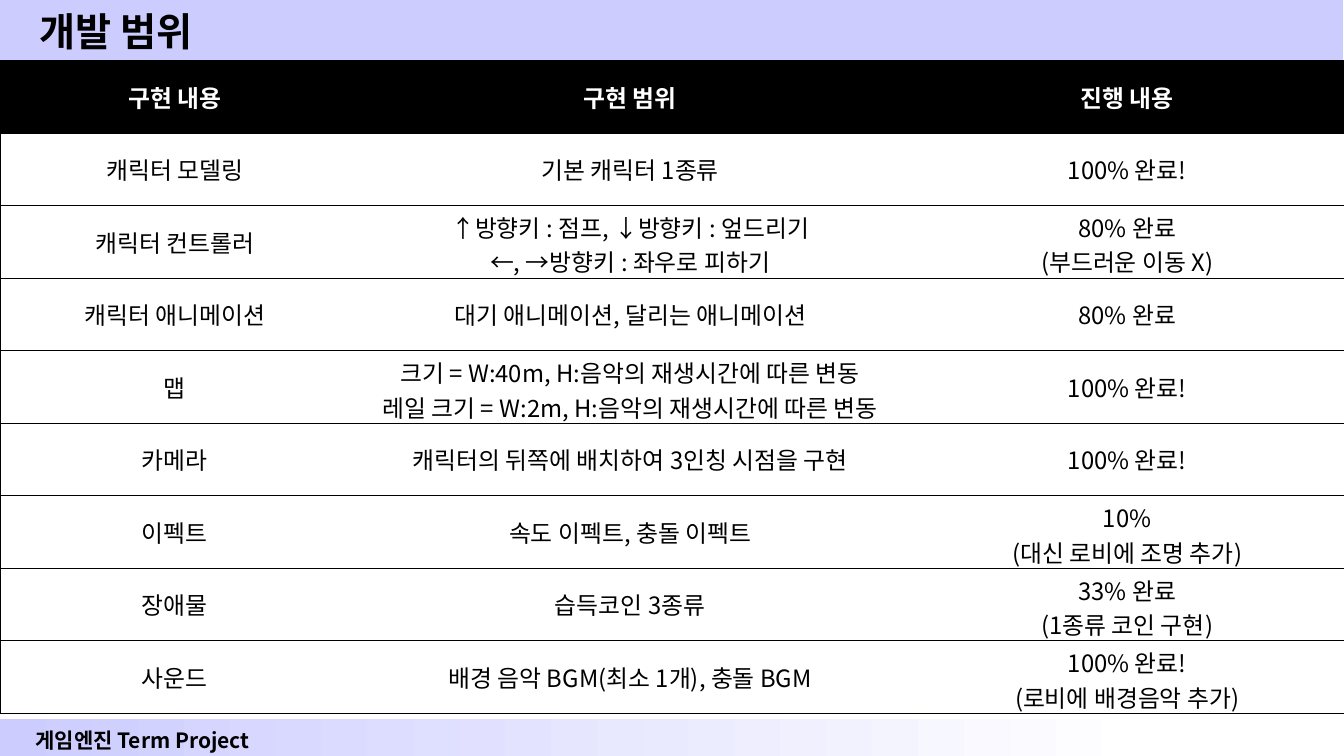
from lxml import etree
from pptx import Presentation
from pptx import util as u
from pptx.dml.color import RGBColor
from pptx.enum import shapes, text
from pptx.oxml import ns

PX = 9144  # 100 px to the inch
FONT = "Noto Sans CJK KR"
COLORS = {"lavender": "CCCCFF", "white": "FFFFFF", "black": "000000"}

COLUMN_WIDTHS = [347, 556, 430]
ROW_HEIGHT = 72
SCOPE_ROWS = [
    ("구현 내용", "구현 범위", "진행 내용"),
    ("캐릭터 모델링", "기본 캐릭터 1종류", "100% 완료!"),
    ("캐릭터 컨트롤러",
     "↑방향키 : 점프, ↓방향키 : 엎드리기\n←, →방향키 : 좌우로 피하기",
     "80% 완료\n(부드러운 이동 X)"),
    ("캐릭터 애니메이션", "대기 애니메이션, 달리는 애니메이션", "80% 완료"),
    ("맵",
     "크기 = W:40m, H:음악의 재생시간에 따른 변동\n"
     "레일 크기 = W:2m, H:음악의 재생시간에 따른 변동",
     "100% 완료!"),
    ("카메라", "캐릭터의 뒤쪽에 배치하여 3인칭 시점을 구현", "100% 완료!"),
    ("이펙트", "속도 이펙트, 충돌 이펙트", "10%\n(대신 로비에 조명 추가)"),
    ("장애물", "습득코인 3종류", "33% 완료\n(1종류 코인 구현)"),
    ("사운드", "배경 음악 BGM(최소 1개), 충돌 BGM",
     "100% 완료!\n(로비에 배경음악 추가)"),
]


def rgb(name):
    return RGBColor.from_string(COLORS[name])


class SlideBuilder:
    def __init__(self, slide, font):
        self.slide = slide
        self.font = font

    def set_text(self, frame, content, size, color="black", bold=False,
                 align=text.PP_ALIGN.CENTER):
        """Fill a text frame, one paragraph to each line of content."""
        frame.text = content
        for paragraph in frame.paragraphs:
            paragraph.alignment = align
            for run in paragraph.runs:
                values = {"name": self.font, "size": u.Pt(size), "bold": bold}
                for attribute, value in values.items():
                    setattr(run.font, attribute, value)
                run.font.color.rgb = rgb(color)
                east_asian = etree.SubElement(run.font._element, ns.qn("a:ea"))
                east_asian.set("typeface", self.font)

    def band(self, box, *colors):
        """Draw a borderless bar; two colours make a left-to-right gradient."""
        shape = self.slide.shapes.add_shape(
            shapes.MSO_SHAPE.RECTANGLE, *(n * PX for n in box))
        shape.shadow.inherit = False
        shape.line.fill.background()
        if len(colors) == 1:
            shape.fill.solid()
            shape.fill.fore_color.rgb = rgb(colors[0])
            return
        shape.fill.gradient()
        shape.fill.gradient_angle = 0
        for position, (stop, color) in enumerate(
                zip(shape.fill.gradient_stops, colors)):
            stop.position = position
            stop.color.rgb = rgb(color)

    def label(self, box, content, size, anchor, align):
        shape = self.slide.shapes.add_textbox(*(n * PX for n in box))
        frame = shape.text_frame
        values = {"word_wrap": True, "vertical_anchor": anchor,
                  "margin_left": 13 * PX, "margin_right": 13 * PX,
                  "margin_top": 6 * PX, "margin_bottom": 6 * PX}
        for attribute, value in values.items():
            setattr(frame, attribute, value)
        self.set_text(frame, content, size, bold=True, align=align)

    def table(self, left, top, widths, row_height, rows, size):
        table = self.slide.shapes.add_table(
            len(rows), len(widths), left * PX, top * PX,
            sum(widths) * PX, row_height * len(rows) * PX).table
        table.horz_banding = False
        for column, width in zip(table.columns, widths):
            column.width = width * PX
        for row_index, row in enumerate(rows):
            table.rows[row_index].height = row_height * PX
            header = row_index == 0
            for column_index, content in enumerate(row):
                cell = table.cell(row_index, column_index)
                cell.vertical_anchor = text.MSO_ANCHOR.MIDDLE
                cell.margin_top = cell.margin_bottom = 4 * PX
                cell.margin_left = cell.margin_right = 10 * PX
                self.set_text(cell.text_frame, content, size,
                              "white" if header else "black", header)
                if header:
                    cell.fill.solid()
                    cell.fill.fore_color.rgb = rgb("black")
                else:
                    cell.fill.background()
                self.borders(cell, {"L": column_index == 0,
                                    "R": column_index == len(widths) - 1,
                                    "T": True, "B": True})

    def borders(self, cell, sides):
        properties = cell._tc.get_or_add_tcPr()
        for index, (side, drawn) in enumerate(sides.items()):
            line = etree.Element(ns.qn(f"a:ln{side}"), w=str(u.Pt(0.75)))
            if drawn:
                fill = etree.SubElement(line, ns.qn("a:solidFill"))
                etree.SubElement(fill, ns.qn("a:srgbClr"), val=COLORS["black"])
            else:
                etree.SubElement(line, ns.qn("a:noFill"))
            properties.insert(index, line)


def main():
    presentation = Presentation()
    presentation.slide_width = 1333 * PX
    presentation.slide_height = 750 * PX
    slide = presentation.slides.add_slide(presentation.slide_layouts[6])
    builder = SlideBuilder(slide, FONT)

    builder.band((0, 713, 1138, 37), "lavender", "white")
    builder.band((0, 0, 1332, 60), "lavender")
    builder.label((5, 716, 273, 38), "게임엔진 Term Project", 15,
                  text.MSO_ANCHOR.TOP, text.PP_ALIGN.CENTER)
    builder.label((26, 5, 1291, 52), "개발 범위", 28,
                  text.MSO_ANCHOR.MIDDLE, text.PP_ALIGN.LEFT)
    builder.table(0, 60, COLUMN_WIDTHS, ROW_HEIGHT, SCOPE_ROWS, 17)

    presentation.save("out.pptx")


if __name__ == "__main__":
    main()
